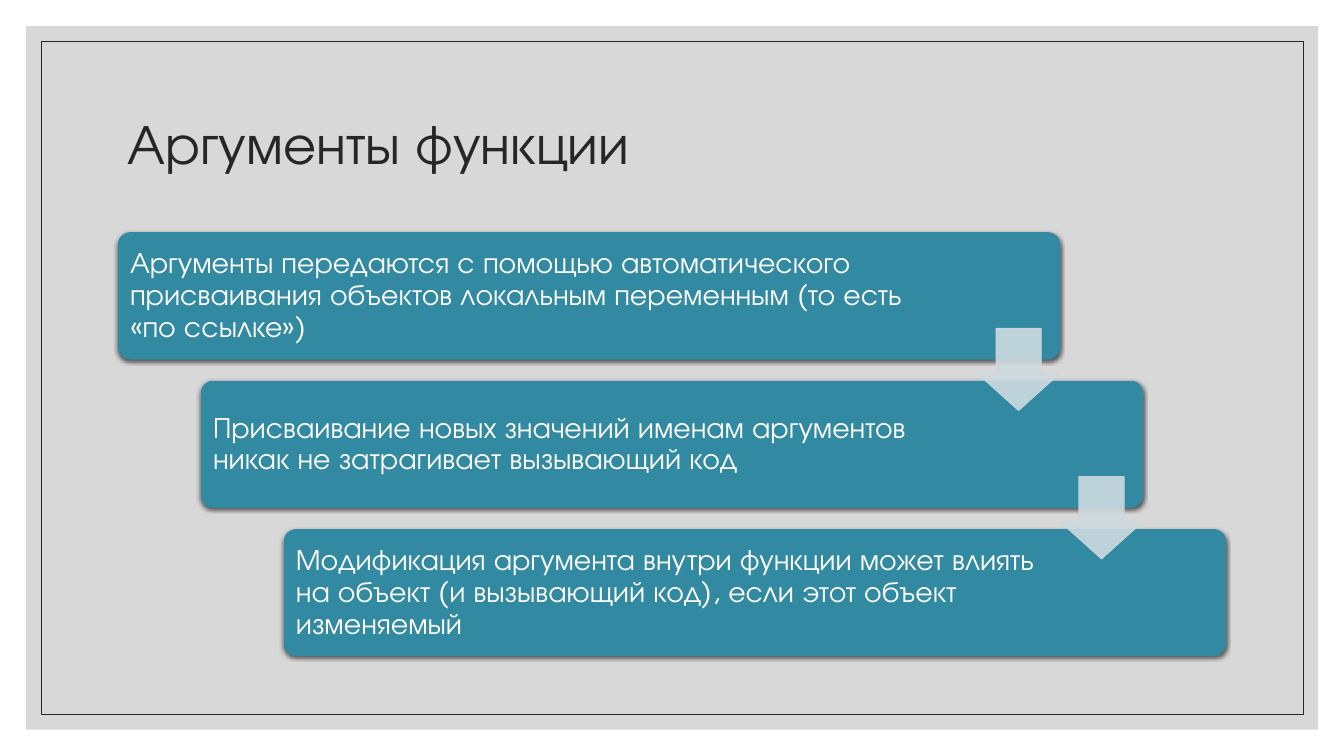
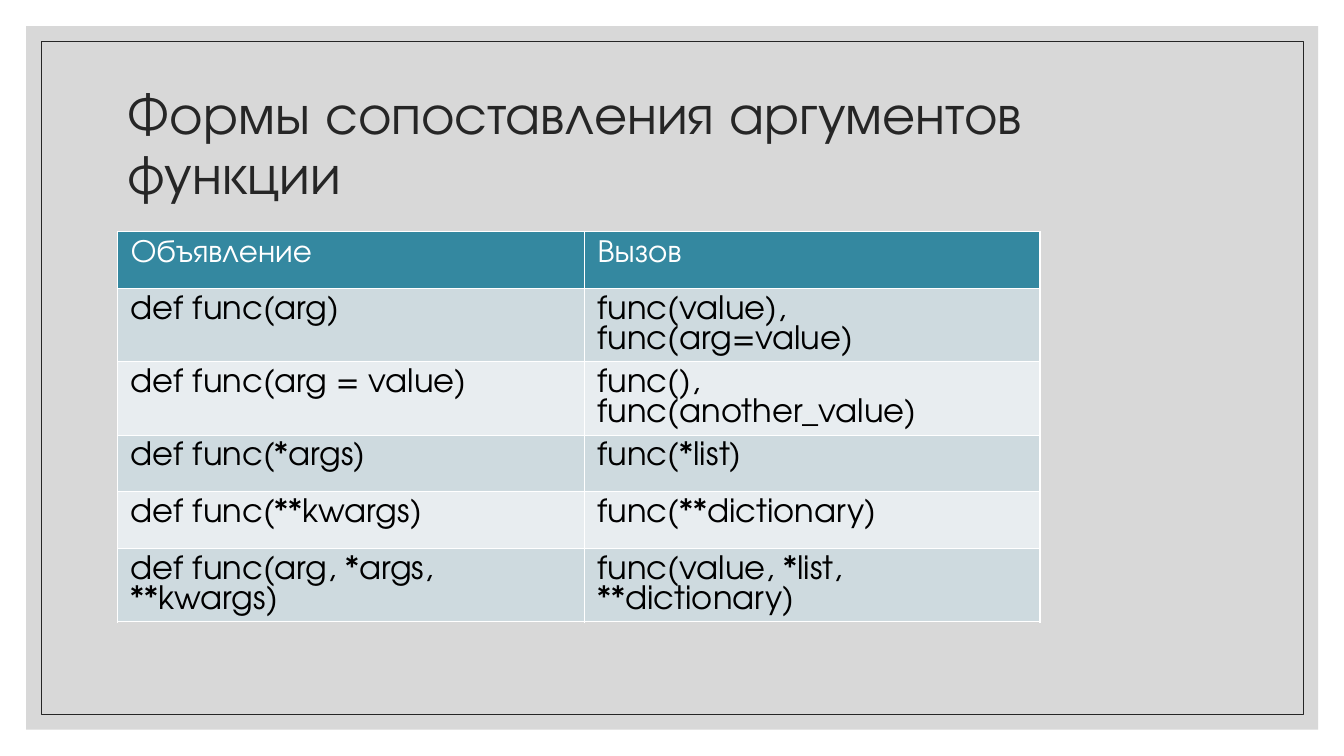
from lxml import etree
from pptx import Presentation
from pptx.dml.color import RGBColor
from pptx.enum.shapes import MSO_SHAPE
from pptx.enum.text import MSO_ANCHOR
from pptx.oxml.ns import qn
from pptx.util import Cm, Pt

RECT, ROUND, DOWN = MSO_SHAPE.RECTANGLE, MSO_SHAPE.ROUNDED_RECTANGLE, MSO_SHAPE.DOWN_ARROW
MIDDLE = MSO_ANCHOR.MIDDLE
FONT = "TeX Gyre Adventor"
GRAY, INK, WHITE, BLACK = "BFBFBF", "262626", "FFFFFF", "000000"
TEAL, PALE, PALER = "3488A0", "CEDADF", "E8EDF0"
CARD_TOP, CARD_BOTTOM = "3189A2", "3188A1"


def paint(fill, color):
    fill.solid()
    fill.fore_color.rgb = RGBColor.from_string(color)


def write(tf, text, size, color, spacing=None, **frame):
    """Put one styled paragraph in a text frame; frame holds its attributes."""
    for name, value in frame.items():
        setattr(tf, name, value)
    p = tf.paragraphs[0]
    if spacing:
        p.line_spacing = spacing
    r = p.add_run()
    r.text = text
    for name, value in {"name": FONT, "size": Pt(size), "bold": False}.items():
        setattr(r.font, name, value)
    paint(r.font.fill, color)


prs = Presentation()
prs.slide_width, prs.slide_height = Cm(33.87), Cm(19.05)
translucent = []

# Shared background, frame and title
slides = []
for title in ("Аргументы функции", "Формы сопоставления аргументов функции"):
    slide = prs.slides.add_slide(prs.slide_layouts[6])
    paint(slide.background.fill, WHITE)

    panel = slide.shapes.add_shape(RECT, Cm(0.66), Cm(0.66), Cm(32.56), Cm(17.73))
    panel.shadow.inherit = False
    paint(panel.fill, GRAY)
    panel.line.fill.background()
    translucent.append((panel, 60))

    frame = slide.shapes.add_shape(RECT, Cm(1.04), Cm(1.04), Cm(31.8), Cm(16.97))
    frame.shadow.inherit = False
    frame.fill.background()
    paint(frame.line.fill, INK)
    frame.line.width = Pt(0.5)

    box = slide.shapes.add_textbox(Cm(2.97), Cm(1.78), Cm(27.94), Cm(3.81))
    write(box.text_frame, title, 40, INK, 0.9, word_wrap=True, vertical_anchor=MIDDLE)
    slides.append(slide)
args_slide, forms_slide = slides

# Slide 1: staircase of cards joined by arrows
STEP_X, STEP_Y = 2.09, 3.74
CARDS = [
    ("Аргументы передаются с помощью автоматического присваивания объектов "
     "локальным переменным (то есть «по ссылке»)", 20.29),
    ("Присваивание новых значений именам аргументов никак не затрагивает "
     "вызывающий код", 19.38),
    ("Модификация аргумента внутри функции может влиять на объект "
     "(и вызывающий код), если этот объект изменяемый", 19.38),
]
shapes = args_slide.shapes
for i, (text, text_width) in enumerate(CARDS):
    x, y = 2.97 + i * STEP_X, 5.85 + i * STEP_Y
    card = shapes.add_shape(ROUND, Cm(x), Cm(y), Cm(23.75), Cm(3.21))
    card.adjustments[0] = 0.1
    card.fill.gradient()
    card.fill.gradient_angle = 270
    for stop, color in zip(card.fill.gradient_stops, (CARD_TOP, CARD_BOTTOM)):
        stop.color.rgb = RGBColor.from_string(color)
    card.line.fill.background()
    card.shadow.inherit = False
    effects = card._element.spPr.find(qn("a:effectLst"))
    shadow = etree.SubElement(effects, qn("a:outerShdw"), blurRad=str(Pt(3)),
                              dist=str(Pt(1)), dir="5400000", algn="ctr", rotWithShape="0")
    shade = etree.SubElement(shadow, qn("a:srgbClr"), val=BLACK)
    etree.SubElement(shade, qn("a:alpha"), val="63000")

    box = shapes.add_textbox(Cm(x + 0.09), Cm(y + 0.1), Cm(text_width), Cm(3.02))
    margins = {f"margin_{side}": Cm(0.22) for side in ("left", "top", "right", "bottom")}
    write(box.text_frame, text, 21, WHITE, 0.9, word_wrap=True, vertical_anchor=MIDDLE, **margins)

for i in range(len(CARDS) - 1):
    arrow = shapes.add_shape(DOWN, Cm(24.63 + i * STEP_X), Cm(8.27 + i * STEP_Y),
                             Cm(2.08), Cm(2.08))
    arrow.adjustments[0], arrow.adjustments[1] = 0.55, 0.45
    arrow.shadow.inherit = False
    paint(arrow.fill, PALE)
    paint(arrow.line.fill, PALE)
    arrow.line.width = Pt(0.5)
    translucent.append((arrow, 90))

# Slide 2: table of declarations and calls
ROWS = [
    ("Объявление", "Вызов"),
    ("def func(arg)", "func(value), func(arg=value)"),
    ("def func(arg = value)", "func(), func(another_value)"),
    ("def func(*args)", "func(*list)"),
    ("def func(**kwargs)", "func(**dictionary)"),
    ("def func(arg, *args, **kwargs)", "func(value, *list, **dictionary)"),
]
COL_WIDTHS = (11.76, 11.48)
ROW_HEIGHT = 1.43
CODE_SPACING = Pt(21.5)
CELL_MARGINS = {"margin_left": Cm(0.33), "margin_right": Cm(0.33),
                "margin_top": Cm(0.17), "margin_bottom": Cm(0.16)}
table = forms_slide.shapes.add_table(
    len(ROWS), len(COL_WIDTHS), Cm(2.97), Cm(5.84),
    Cm(sum(COL_WIDTHS)), Cm(ROW_HEIGHT * len(ROWS))).table
for column, width in zip(table.columns, COL_WIDTHS):
    column.width = Cm(width)
for i, texts in enumerate(ROWS):
    table.rows[i].height = Cm(ROW_HEIGHT)
    if i == 0:
        fill_color, text_color, spacing = TEAL, WHITE, None
    else:
        fill_color, text_color, spacing = (PALER, PALE)[i % 2], BLACK, CODE_SPACING
    for j, text in enumerate(texts):
        cell = table.cell(i, j)
        for name, value in CELL_MARGINS.items():
            setattr(cell, name, value)
        write(cell.text_frame, text, 23, text_color, spacing)
        tcPr = cell._tc.get_or_add_tcPr()
        for side in "LRTB":
            ln = etree.SubElement(tcPr, qn(f"a:ln{side}"), w=str(Pt(1)))
            solid = etree.SubElement(ln, qn("a:solidFill"))
            etree.SubElement(solid, qn("a:srgbClr"), val=WHITE)
        paint(cell.fill, fill_color)

for sp, opacity in translucent:
    for clr in sp._element.spPr.iter(qn("a:srgbClr")):
        etree.SubElement(clr, qn("a:alpha"), val=str(opacity * 1000))

prs.save("out.pptx")
